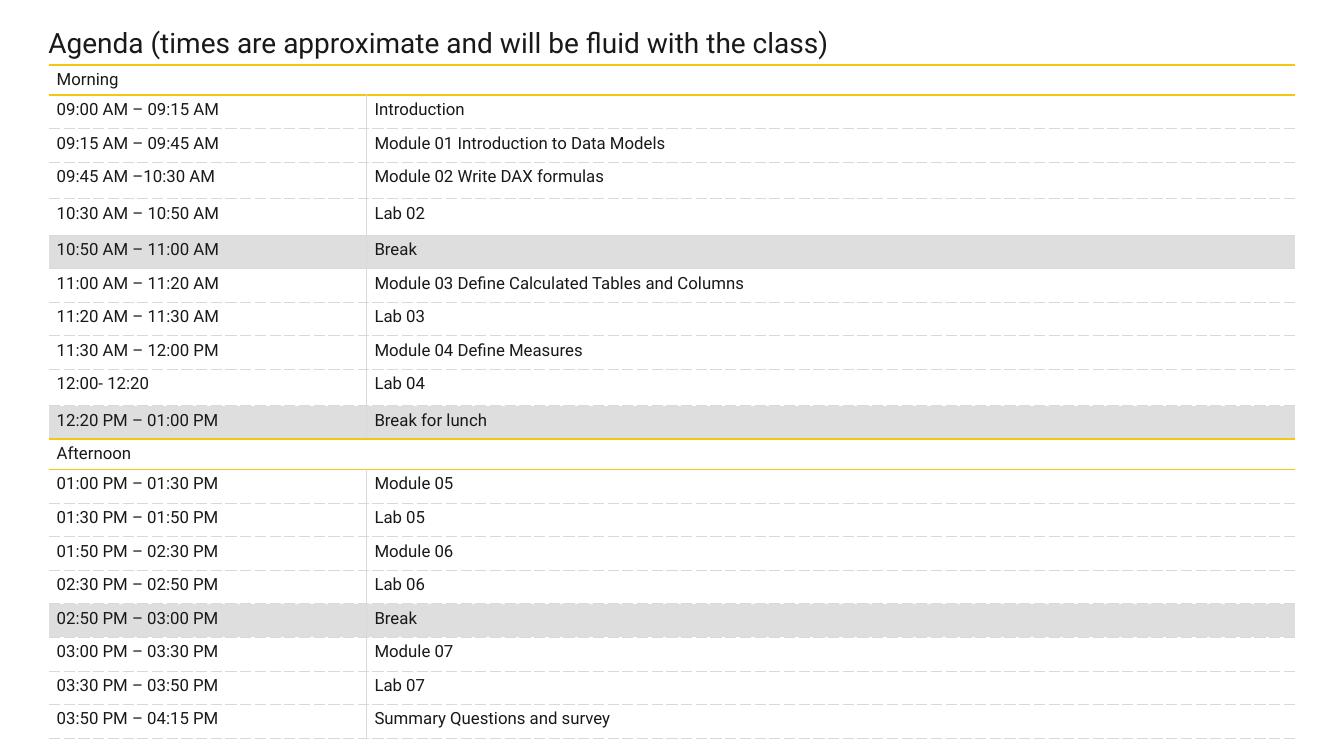
from lxml import etree
from pptx import Presentation
from pptx.dml.color import RGBColor
from pptx.enum.text import MSO_ANCHOR as Anchor, MSO_AUTO_SIZE as Fit, PP_ALIGN as Align
from pptx.oxml.ns import qn
from pptx.util import Pt

SCALE = 6350  # EMU per px on a 1920 x 1080 slide
FONT = "Roboto"
INK = RGBColor(0x19, 0x19, 0x19)
GOLD = RGBColor(0xF2, 0xC8, 0x11)
RULE = RGBColor(0xD9, 0xD9, 0xD9)
SHADE = RGBColor(0xDE, 0xDE, 0xDE)

TITLE = "Agenda (times are approximate and will be fluid with the class)"
HEAD, ROW, TALL = 43, 48, 52
COLS = (454, 1326)
# A row with one text is a section head.
AGENDA = [
    ("Morning",),
    ("09:00 AM – 09:15 AM", "Introduction"),
    ("09:15 AM – 09:45 AM", "Module 01 Introduction to Data Models"),
    ("09:45 AM –10:30 AM", "Module 02 Write DAX formulas"),
    ("10:30 AM – 10:50 AM", "Lab 02"),
    ("10:50 AM – 11:00 AM", "Break"),
    ("11:00 AM – 11:20 AM", "Module 03 Define Calculated Tables and Columns"),
    ("11:20 AM – 11:30 AM", "Lab 03"),
    ("11:30 AM – 12:00 PM", "Module 04 Define Measures"),
    ("12:00- 12:20", "Lab 04"),
    ("12:20 PM – 01:00 PM", "Break for lunch"),
    ("Afternoon",),
    ("01:00 PM – 01:30 PM", "Module 05"),
    ("01:30 PM – 01:50 PM", "Lab 05"),
    ("01:50 PM – 02:30 PM", "Module 06"),
    ("02:30 PM – 02:50 PM", "Lab 06"),
    ("02:50 PM – 03:00 PM", "Break"),
    ("03:00 PM – 03:30 PM", "Module 07"),
    ("03:30 PM – 03:50 PM", "Lab 07"),
    ("03:50 PM – 04:15 PM", "Summary Questions and survey"),
]
TALL_ROWS = {"Module 02 Write DAX formulas", "Lab 02", "Lab 04"}

# Border looks: colour, width in points, dash
SECTION = (GOLD, 1.5, "solid")
DASHED = (RULE, 0.5, "dash")
THIN = (RULE, 0.5, "solid")


def px(n):
    return n * SCALE


def style(para, size):
    para.font.name = FONT
    para.font.size = Pt(size)
    para.font.color.rgb = INK


def add_title(slide):
    title = slide.shapes.title
    title.left, title.top, title.width, title.height = map(px, (69, 24, 1780, 58))
    frame = title.text_frame
    frame.text = TITLE
    frame.margin_left = frame.margin_right = frame.margin_top = frame.margin_bottom = 0
    frame.vertical_anchor = Anchor.MIDDLE
    frame.word_wrap = True
    frame.auto_size = Fit.SHAPE_TO_FIT_TEXT
    para = frame.paragraphs[0]
    para.alignment = Align.LEFT
    para.line_spacing = Pt(31.4)
    style(para, 20)


def add_edge(cell, side, look):
    """Draw one cell border; side is L, R, T or B, and no look means no line."""
    props = cell._tc.get_or_add_tcPr()
    line = etree.SubElement(props, qn(f"a:ln{side}"))
    if look is None:
        etree.SubElement(line, qn("a:noFill"))
        return
    color, width, dash = look
    line.set("w", str(Pt(width)))
    fill = etree.SubElement(line, qn("a:solidFill"))
    etree.SubElement(fill, qn("a:srgbClr"), val=str(color))
    etree.SubElement(line, qn("a:prstDash"), val=dash)


def is_head(row):
    return row < len(AGENDA) and len(AGENDA[row]) == 1


def rule_at(row):
    """Look of the rule above a row."""
    return SECTION if is_head(row) or is_head(row - 1) else DASHED


def fill_cell(cell, row, col):
    texts = AGENDA[row]
    split = None if is_head(row) else THIN
    add_edge(cell, "L", split if col else None)
    add_edge(cell, "R", None if col else split)
    add_edge(cell, "T", rule_at(row))
    add_edge(cell, "B", rule_at(row + 1))
    if texts[-1].startswith("Break"):
        cell.fill.solid()
        cell.fill.fore_color.rgb = SHADE
    else:
        cell.fill.background()
    cell.margin_left = cell.margin_right = px(11)
    cell.margin_top = cell.margin_bottom = px(7)
    if col < len(texts):
        cell.text = texts[col]
    style(cell.text_frame.paragraphs[0], 12)


def row_height(row):
    if is_head(row):
        return HEAD
    return TALL if AGENDA[row][1] in TALL_ROWS else ROW


def add_agenda(slide):
    heights = [row_height(row) for row in range(len(AGENDA))]
    frame = slide.shapes.add_table(len(AGENDA), len(COLS), px(70), px(93),
                                   px(sum(COLS)), px(sum(heights)))
    table = frame.table
    table.first_row = table.horz_banding = False
    for col, width in enumerate(COLS):
        table.columns[col].width = px(width)
    for row, height in enumerate(heights):
        table.rows[row].height = px(height)
        for col in range(len(COLS)):
            fill_cell(table.cell(row, col), row, col)
        if is_head(row):
            table.cell(row, 0).merge(table.cell(row, 1))


def main():
    deck = Presentation()
    deck.slide_width, deck.slide_height = px(1920), px(1080)
    slide = deck.slides.add_slide(deck.slide_layouts[5])
    add_title(slide)
    add_agenda(slide)
    deck.save("out.pptx")


if __name__ == "__main__":
    main()
